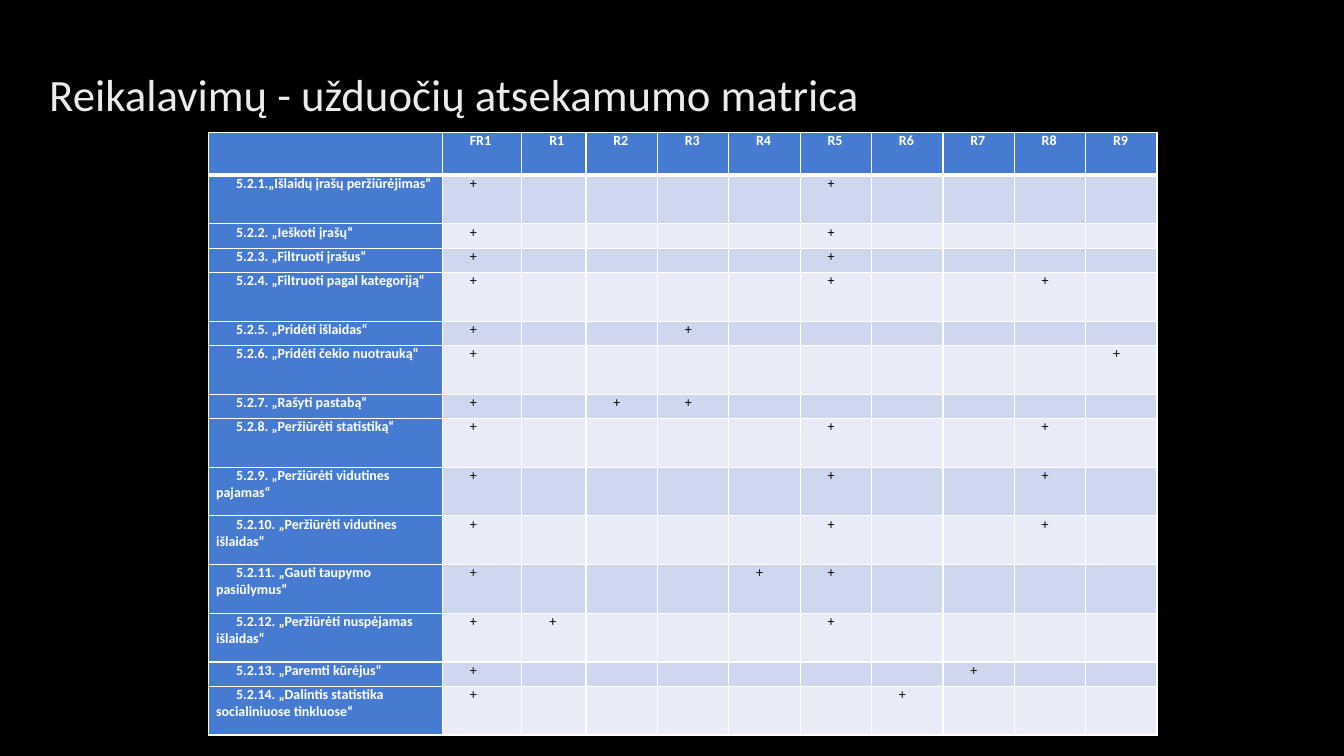
from lxml.etree import SubElement
from pptx import Presentation
from pptx.dml.color import RGBColor
from pptx.enum.text import MSO_ANCHOR as Anchor
from pptx.oxml.ns import qn
from pptx.util import Pt

FONT = "Calibri"
WHITE, BLACK, BLUE = "FFFFFF", "000000", "477BD1"
BANDS = ("CFD7EE", "E9ECF7")
REQUIREMENTS = ["FR1"] + [f"R{n}" for n in range(1, 10)]
COL_WIDTHS = [167, 56.8, 45.8] + [51] * 8
HEADER_H, TALL, SHORT = 30.5, 34.8, 17.4
TASKS = [
    ("5.2.1.„Išlaidų įrašų peržiūrėjimas“", "FR1 R5", TALL),
    ("5.2.2. „Ieškoti įrašų“", "FR1 R5", SHORT),
    ("5.2.3. „Filtruoti įrašus“", "FR1 R5", SHORT),
    ("5.2.4. „Filtruoti pagal kategoriją“", "FR1 R5 R8", TALL),
    ("5.2.5. „Pridėti išlaidas“", "FR1 R3", SHORT),
    ("5.2.6. „Pridėti čekio nuotrauką“", "FR1 R9", TALL),
    ("5.2.7. „Rašyti pastabą“", "FR1 R2 R3", SHORT),
    ("5.2.8. „Peržiūrėti statistiką“", "FR1 R5 R8", TALL),
    ("5.2.9. „Peržiūrėti vidutines pajamas“", "FR1 R5 R8", TALL),
    ("5.2.10. „Peržiūrėti vidutines išlaidas“", "FR1 R5 R8", TALL),
    ("5.2.11. „Gauti taupymo pasiūlymus“", "FR1 R4 R5", TALL),
    ("5.2.12. „Peržiūrėti nuspėjamas išlaidas“", "FR1 R1 R5", TALL),
    ("5.2.13. „Paremti kūrėjus“", "FR1 R7", SHORT),
    ("5.2.14. „Dalintis statistika socialiniuose tinkluose“", "FR1 R6", TALL),
]


def rgb(color):
    """Turn a hex string into a colour."""
    return RGBColor.from_string(color)


def set_attrs(obj, values):
    """Set each named attribute of an object."""
    for name, value in values.items():
        setattr(obj, name, value)


def add_run(p, text, size, color, bold=False):
    """Add a formatted run to a paragraph."""
    r = p.add_run()
    r.text = text
    set_attrs(r.font, {"name": FONT, "size": Pt(size), "bold": bold})
    r.font.color.rgb = rgb(color)


def add_title(s, text):
    """Add the slide title."""
    sp = s.shapes.add_textbox(Pt(28.1), Pt(9.4), Pt(797.8), Pt(114.5))
    tf = sp.text_frame
    set_attrs(tf, {"word_wrap": True, "vertical_anchor": Anchor.MIDDLE})
    add_run(tf.paragraphs[0], text, 32, "EBEBEB")


def add_border(cell, side, width):
    """Draw one white side of a cell."""
    tc_pr = cell._tc.get_or_add_tcPr()
    ln = SubElement(tc_pr, qn(f"a:ln{side}"), w=str(Pt(width)))
    SubElement(SubElement(ln, qn("a:solidFill")), qn("a:srgbClr"), val=WHITE)


def fill_cell(cell, text, fill, color, bold, top=1, bottom=1):
    """Fill, border and write one cell."""
    set_attrs(cell, {"margin_left": Pt(5.4), "margin_right": Pt(5.4),
                     "margin_top": 0, "margin_bottom": 0})
    for side, width in zip("LRTB", (1, 1, top, bottom)):
        add_border(cell, side, width)
    cell.fill.solid()
    cell.fill.fore_color.rgb = rgb(fill)
    p = cell.text_frame.paragraphs[0]
    if text:
        p._p.get_or_add_pPr().set("indent", str(Pt(14.2)))
        add_run(p, text, 10, color, bold)
    else:
        SubElement(p._p, qn("a:endParaRPr"), sz="1000")


def add_matrix(s):
    """Add the table that traces tasks to requirements."""
    heights = [HEADER_H] + [height for _, _, height in TASKS]
    frame = s.shapes.add_table(len(heights), len(COL_WIDTHS), Pt(149), Pt(94.6),
                               Pt(sum(COL_WIDTHS)), Pt(sum(heights)))
    table = frame.table
    set_attrs(table, {"first_row": False, "horz_banding": False})
    for col, width in zip(table.columns, COL_WIDTHS):
        col.width = Pt(width)
    for row, height in zip(table.rows, heights):
        row.height = Pt(height)
    for c, text in enumerate([""] + REQUIREMENTS):
        fill_cell(table.cell(0, c), text, BLUE, WHITE, True, bottom=3)
    for i, (task, covered, _) in enumerate(TASKS):
        top = 1 if i else 3
        fill_cell(table.cell(i + 1, 0), task, BLUE, WHITE, True, top)
        for c, req in enumerate(REQUIREMENTS, 1):
            mark = "+" if req in covered.split() else ""
            fill_cell(table.cell(i + 1, c), mark, BANDS[i % 2], BLACK, False, top)


def main():
    """Build the slide and save it."""
    prs = Presentation()
    set_attrs(prs, {"slide_width": Pt(960), "slide_height": Pt(540)})
    s = prs.slides.add_slide(prs.slide_layouts[6])
    s.background.fill.solid()
    s.background.fill.fore_color.rgb = rgb(BLACK)
    add_title(s, "Reikalavimų - užduočių atsekamumo matrica")
    add_matrix(s)
    prs.save("out.pptx")


if __name__ == "__main__":
    main()
